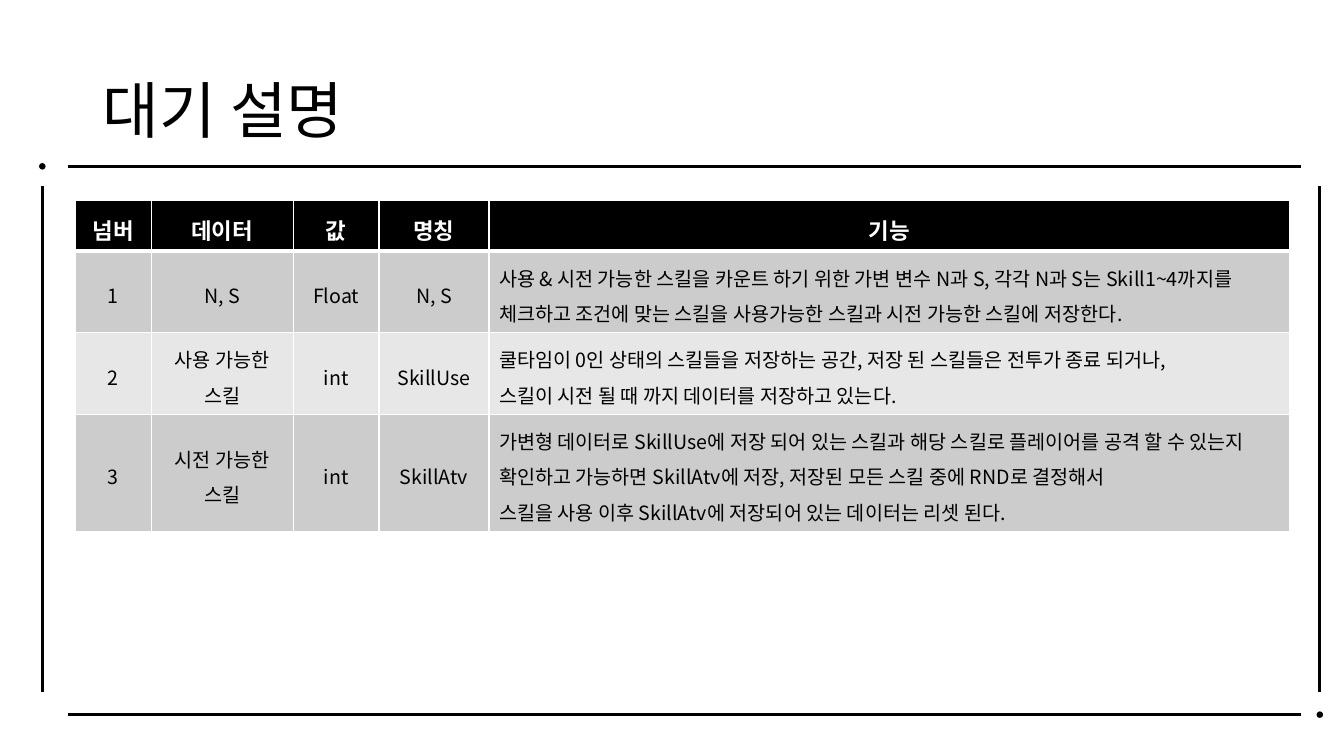
import pptx
import pptx.util
import pptx.dml.color
import pptx.enum.shapes
import pptx.enum.text
import pptx.oxml
import pptx.oxml.ns

In, Pt = pptx.util.Inches, pptx.util.Pt
RGB = pptx.dml.color.RGBColor.from_string
PP = pptx.enum.text.PP_ALIGN
MIDDLE = pptx.enum.text.MSO_ANCHOR.MIDDLE
FONT = "Noto Sans CJK KR"
COLORS = {"ink": "000000", "paper": "FFFFFF", "odd": "CCCCCC", "even": "E7E7E7"}

TITLE = "대기 설명"
ROWS = [
    ["넘버", "데이터", "값", "명칭", "기능"],
    ["1", "N, S", "Float", "N, S",
     "사용 & 시전 가능한 스킬을 카운트 하기 위한 가변 변수 N과 S, 각각 N과 S는 Skill1~4까지를 "
     "체크하고 조건에 맞는 스킬을 사용가능한 스킬과 시전 가능한 스킬에 저장한다."],
    ["2", "사용 가능한 스킬", "int", "SkillUse",
     "쿨타임이 0인 상태의 스킬들을 저장하는 공간, 저장 된 스킬들은 전투가 종료 되거나,\n"
     "스킬이 시전 될 때 까지 데이터를 저장하고 있는다."],
    ["3", "시전 가능한\n스킬", "int", "SkillAtv",
     "가변형 데이터로 SkillUse에 저장 되어 있는 스킬과 해당 스킬로 플레이어를 공격 할 수 있는지 "
     "확인하고 가능하면 SkillAtv에 저장, 저장된 모든 스킬 중에 RND로 결정해서\n"
     "스킬을 사용 이후 SkillAtv에 저장되어 있는 데이터는 리셋 된다."],
]
COLS = [0.75, 1.41, 0.85, 1.09, 7.94]
ROW_H = 0.41
TABLE_AT = (0.75, 1.99)
LEFT, RIGHT, TOP, BOTTOM = 0.42, 13.09, 1.65, 7.09
X_SPAN, Y_SPAN = (0.67, 12.9), (1.85, 6.87)
DOT = 0.05


def write(tf, text, fmt, align, spacing):
    tf.text = text
    for p in tf.paragraphs:
        p.alignment, p.line_spacing = align, spacing
        for r in p.runs:
            for key, value in fmt.items():
                if key == "color":
                    r.font.color.rgb = RGB(COLORS[value])
                else:
                    setattr(r.font, key, value)
            ea = pptx.oxml.parse_xml(
                f'<a:ea {pptx.oxml.ns.nsdecls("a")} typeface="{FONT}"/>')
            r.font._element.append(ea)


def add_rule(shapes, x1, y1, x2, y2):
    s = shapes.add_connector(pptx.enum.shapes.MSO_CONNECTOR.STRAIGHT,
                             In(x1), In(y1), In(x2), In(y2))
    s.line.color.rgb = RGB(COLORS["ink"])
    s.line.width = Pt(2.25)
    s._element.spPr.append(pptx.oxml.parse_xml(
        f'<a:effectLst {pptx.oxml.ns.nsdecls("a")}/>'))


def add_dot(shapes, x, y):
    s = shapes.add_shape(pptx.enum.shapes.MSO_SHAPE.OVAL,
                         In(x - DOT / 2), In(y - DOT / 2), In(DOT), In(DOT))
    s.shadow.inherit = False
    s.fill.solid()
    s.fill.fore_color.rgb = s.line.color.rgb = RGB(COLORS["ink"])
    s.line.width = Pt(1)


def add_borders(cell, bottom):
    tcPr = cell._tc.get_or_add_tcPr()
    for side, width in {"L": 1, "R": 1, "T": 1, "B": bottom}.items():
        tcPr.append(pptx.oxml.parse_xml(
            f'<a:ln{side} {pptx.oxml.ns.nsdecls("a")} w="{Pt(width)}"><a:solidFill>'
            f'<a:srgbClr val="{COLORS["paper"]}"/></a:solidFill></a:ln{side}>'))


def add_grid(shapes):
    table = shapes.add_table(len(ROWS), len(COLS), In(TABLE_AT[0]), In(TABLE_AT[1]),
                             In(sum(COLS)), In(ROW_H * len(ROWS))).table
    for column, width in zip(table.columns, COLS):
        column.width = In(width)
    for i, row in enumerate(ROWS):
        table.rows[i].height = In(ROW_H)
        head = i == 0
        fill = "ink" if head else "odd" if i % 2 else "even"
        fmt = {"name": FONT, "size": Pt(16 if head else 14), "bold": head,
               "color": "paper" if head else "ink"}
        for j, text in enumerate(row):
            cell = table.cell(i, j)
            add_borders(cell, 3 if head else 1)
            cell.fill.solid()
            cell.fill.fore_color.rgb = RGB(COLORS[fill])
            cell.vertical_anchor = MIDDLE
            prose = not head and j == len(COLS) - 1
            write(cell.text_frame, text, fmt, PP.LEFT if prose else PP.CENTER, 1.25)


def main():
    prs = pptx.Presentation()
    prs.slide_width, prs.slide_height = In(13.33), In(7.5)
    slide = prs.slides.add_slide(prs.slide_layouts[5])
    shapes = slide.shapes
    for y in (TOP, BOTTOM):
        add_rule(shapes, X_SPAN[0], y, X_SPAN[1], y)
    for x in (LEFT, RIGHT):
        add_rule(shapes, x, Y_SPAN[0], x, Y_SPAN[1])
    for x, y in ((RIGHT, BOTTOM), (LEFT, TOP)):
        add_dot(shapes, x, y)

    title = shapes.title
    title.left, title.top, title.width, title.height = map(In, (0.92, 0.4, 11.5, 1.45))
    tf = title.text_frame
    tf.vertical_anchor = MIDDLE
    tf.auto_size = pptx.enum.text.MSO_AUTO_SIZE.NONE
    write(tf, TITLE, {"name": FONT, "size": Pt(44), "color": "ink"}, PP.LEFT, 0.9)
    add_grid(shapes)
    prs.save("out.pptx")


if __name__ == "__main__":
    main()
